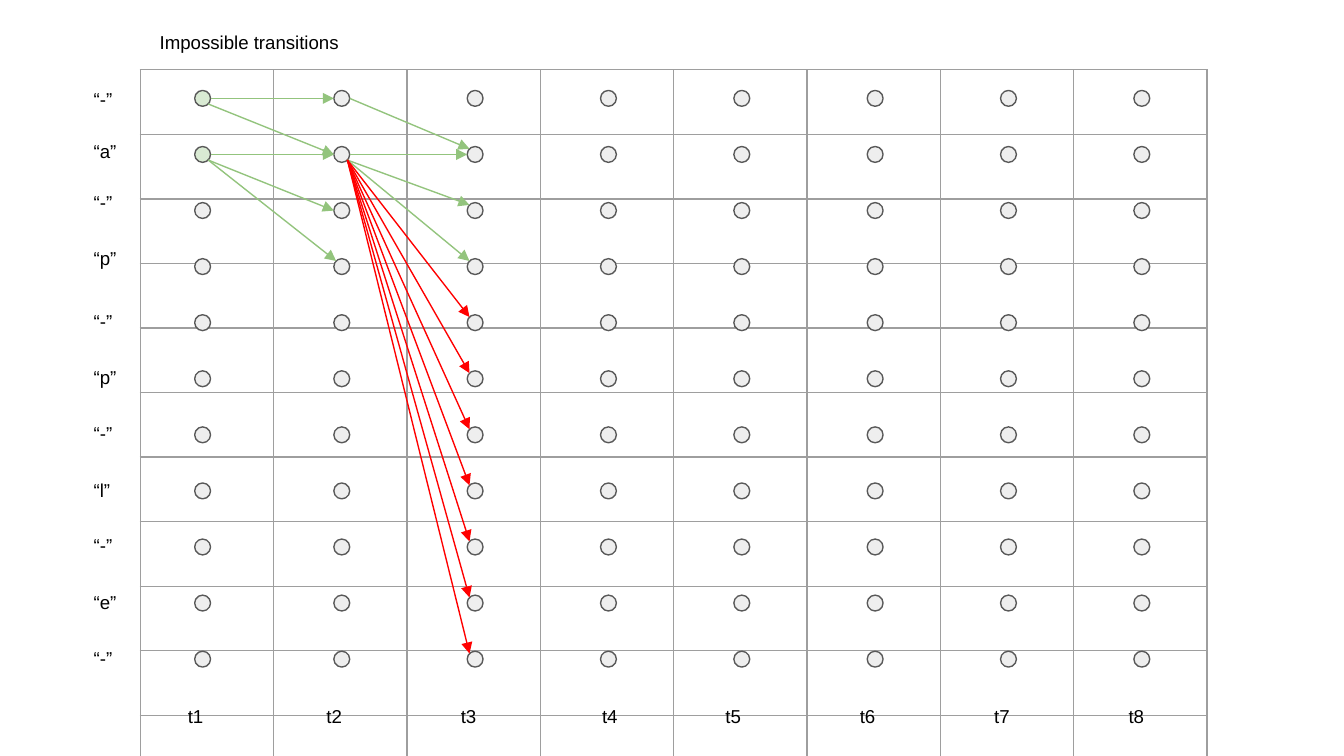
"""Build a slide showing allowed and impossible transitions in a label trellis."""
import pptx
import pptx.dml.color
import pptx.enum.shapes
import pptx.oxml.ns
import pptx.util
from lxml import etree

Cm = pptx.util.Cm
Pt = pptx.util.Pt

TITLE = "Impossible transitions"
SYMBOLS = [
    ("“-”", 1.45), ("“a”", 2.44), ("“-”", 3.4), ("“p”", 4.45),
    ("“-”", 5.64), ("“p”", 6.71), ("“-”", 7.77), ("“l”", 8.84),
    ("“-”", 9.88), ("“e”", 10.95), ("“-”", 12.01),
]
TIMES = [
    ("t1", 3.3), ("t2", 5.92), ("t3", 8.46), ("t4", 11.13),
    ("t5", 13.46), ("t6", 16), ("t7", 18.54), ("t8", 21.08),
]
START_STATES = {(0, 0), (0, 1)}
TRANSITIONS = [
    ((0, 0), "right", (1, 0), "left", "allowed"),
    ((0, 0), "lower right", (1, 1), "left", "allowed"),
    ((0, 1), "right", (1, 1), "left", "allowed"),
    ((0, 1), "lower right", (1, 2), "left", "allowed"),
    ((0, 1), "lower right", (1, 3), "upper left", "allowed"),
    ((1, 0), "right", (2, 1), "upper left", "allowed"),
    ((1, 1), "right", (2, 1), "left", "allowed"),
    ((1, 1), "lower right", (2, 2), "upper left", "allowed"),
    ((1, 1), "lower right", (2, 3), "upper left", "allowed"),
] + [
    ((1, 1), "lower right", (2, row), "upper left", "impossible")
    for row in range(4, len(SYMBOLS))
]
COLORS = {
    "text": "000000", "grid": "9E9E9E", "outline": "595959",
    "start": "D9EAD3", "state": "EEEEEE",
    "allowed": "93C47D", "impossible": "FF0000",
}
EDGES = {
    "right": (1, 0), "left": (-1, 0),
    "lower right": (0.71, 0.71), "upper left": (-0.71, -0.71),
}
STATE_X = [3.83] + [6.46 + 2.52 * step for step in range(len(TIMES) - 1)]
STATE_Y = [1.86 + 1.06 * row for row in range(len(SYMBOLS))]
RADIUS = 0.15
COLUMN_WIDTH, ROW_HEIGHT = 2.52, 1.22
LINE_WIDTH = Pt(0.75)


def rgb(name):
    return pptx.dml.color.RGBColor.from_string(COLORS[name])


def add_grid(slide):
    rows, columns = len(SYMBOLS), len(TIMES)
    grid = slide.shapes.add_table(
        rows, columns, Cm(2.65), Cm(1.32),
        Cm(COLUMN_WIDTH * columns), Cm(ROW_HEIGHT * rows)).table
    grid.first_row = grid.horz_banding = False
    for column in grid.columns:
        column.width = Cm(COLUMN_WIDTH)
    for row in grid.rows:
        row.height = Cm(ROW_HEIGHT)
    for cell in grid.iter_cells():
        properties = cell._tc.get_or_add_tcPr()
        for side in ("a:lnL", "a:lnR", "a:lnT", "a:lnB"):
            border = etree.SubElement(properties, pptx.oxml.ns.qn(side), w=str(LINE_WIDTH))
            paint = etree.SubElement(border, pptx.oxml.ns.qn("a:solidFill"))
            etree.SubElement(paint, pptx.oxml.ns.qn("a:srgbClr"), val=COLORS["grid"])
        cell.fill.background()


def add_label(slide, text, left, top, width=1.07):
    frame = slide.shapes.add_textbox(Cm(left), Cm(top), Cm(width), Cm(0.84)).text_frame
    frame.word_wrap = True
    frame.margin_left = frame.margin_right = Cm(0.25)
    frame.margin_top = frame.margin_bottom = Cm(0.25)
    frame.text = text
    font = frame.paragraphs[0].runs[0].font
    font.name, font.size = "Arial", Pt(10)
    font.color.rgb = rgb("text")


def add_state(slide, column, row):
    state = slide.shapes.add_shape(
        pptx.enum.shapes.MSO_SHAPE.OVAL,
        Cm(STATE_X[column] - RADIUS), Cm(STATE_Y[row] - RADIUS),
        Cm(2 * RADIUS), Cm(2 * RADIUS))
    state.shadow.inherit = False
    state.fill.solid()
    state.fill.fore_color.rgb = rgb("start" if (column, row) in START_STATES else "state")
    state.line.color.rgb = rgb("outline")
    state.line.width = LINE_WIDTH


def edge_point(state, edge):
    column, row = state
    across, down = EDGES[edge]
    return Cm(STATE_X[column] + RADIUS * across), Cm(STATE_Y[row] + RADIUS * down)


def add_transition(slide, source, source_edge, target, target_edge, kind):
    arrow = slide.shapes.add_connector(
        pptx.enum.shapes.MSO_CONNECTOR.STRAIGHT,
        *edge_point(source, source_edge), *edge_point(target, target_edge))
    arrow.line.color.rgb = rgb(kind)
    arrow.line.width = LINE_WIDTH
    etree.SubElement(arrow.line._get_or_add_ln(), pptx.oxml.ns.qn("a:tailEnd"), type="triangle")
    etree.SubElement(arrow._element.spPr, pptx.oxml.ns.qn("a:effectLst"))


def main():
    deck = pptx.Presentation()
    deck.slide_width, deck.slide_height = Cm(25.4), Cm(14.29)
    slide = deck.slides.add_slide(deck.slide_layouts[6])
    add_grid(slide)
    add_label(slide, TITLE, 2.77, 0.38, 20.47)
    for symbol, top in SYMBOLS:
        add_label(slide, symbol, 1.52, top)
    for time, left in TIMES:
        add_label(slide, time, left, 13.11)
    for row in range(len(SYMBOLS)):
        for column in range(len(TIMES)):
            add_state(slide, column, row)
    for transition in TRANSITIONS:
        add_transition(slide, *transition)
    deck.save("out.pptx")


if __name__ == "__main__":
    main()
